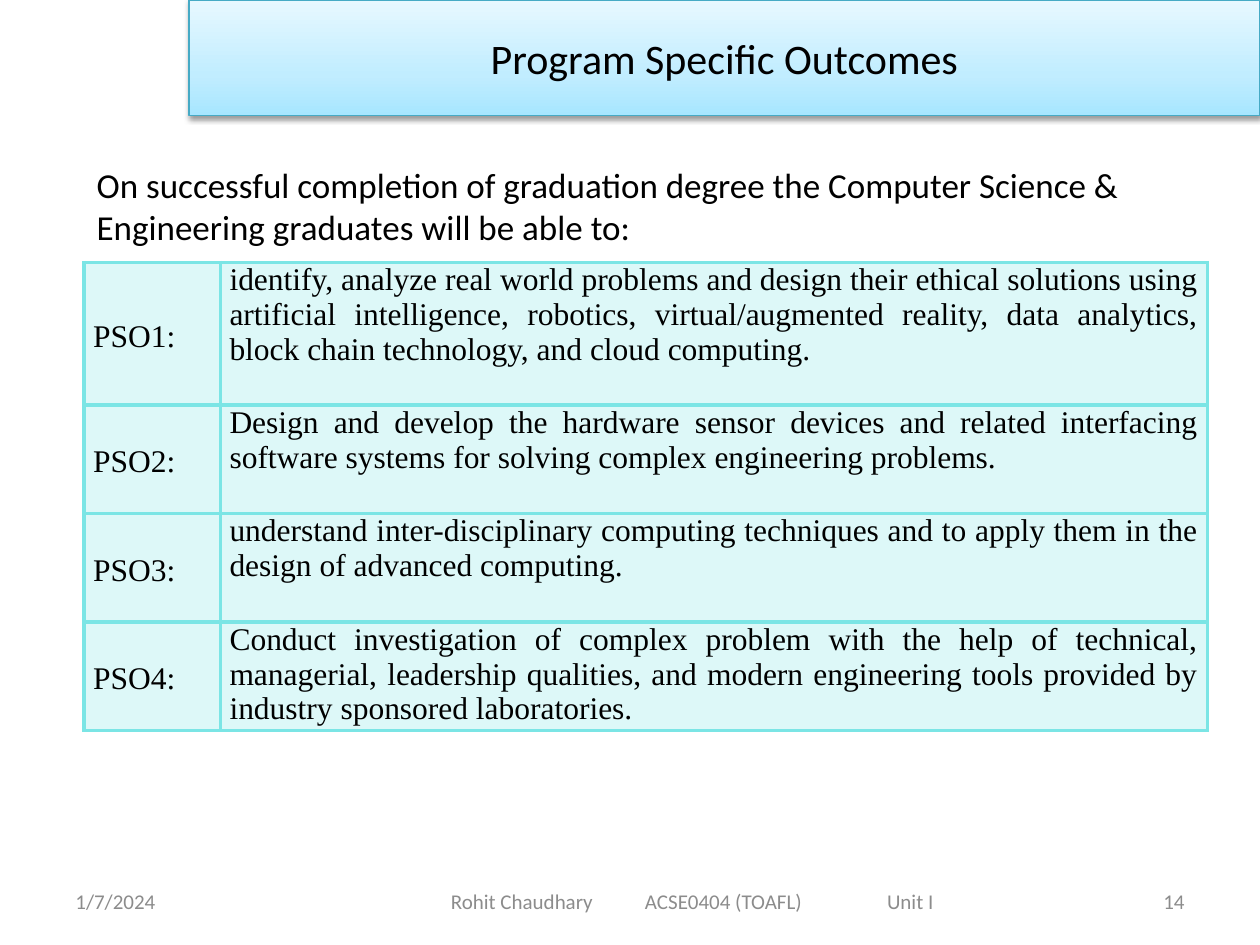
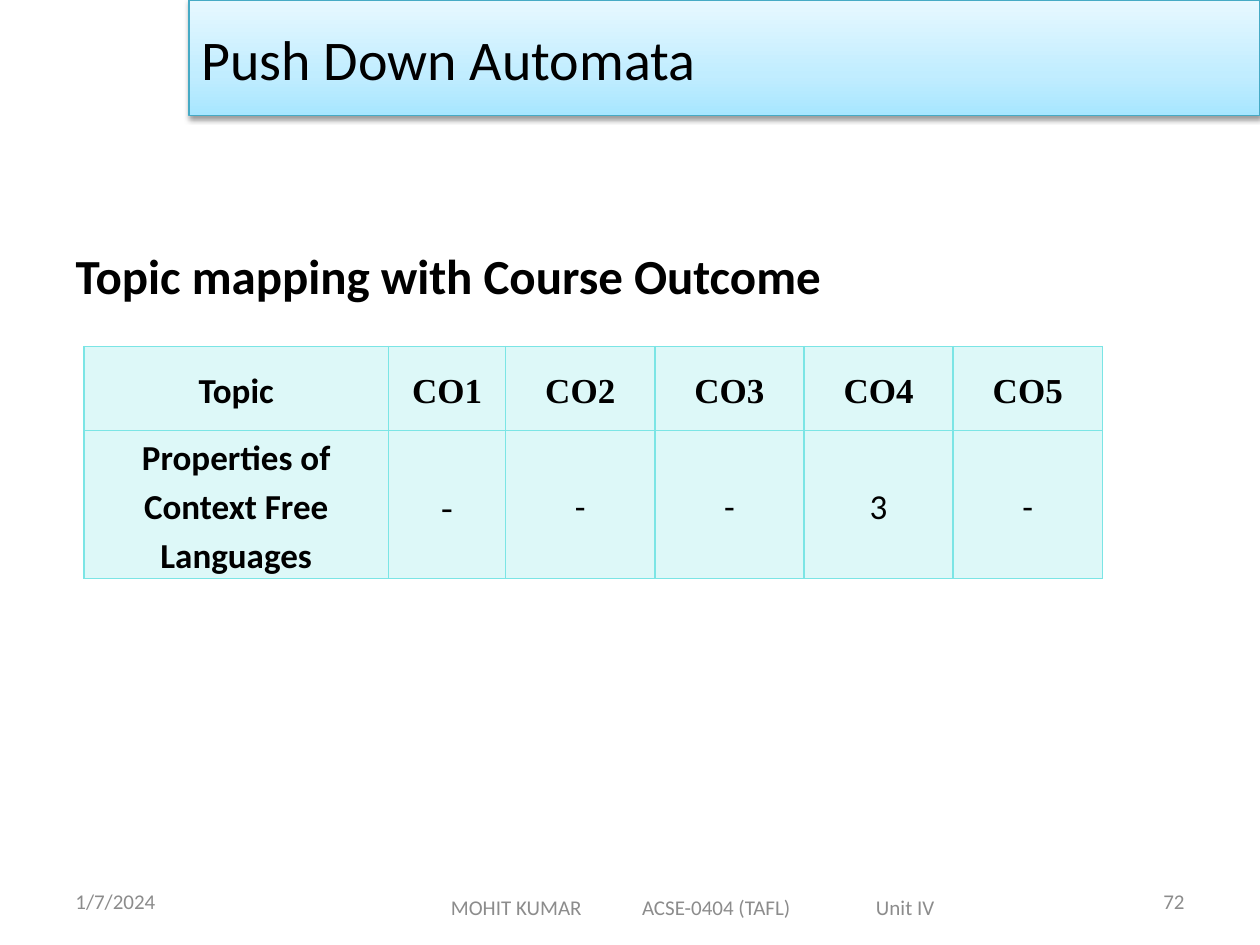
from pptx import Presentation
from pptx.dml.color import RGBColor
from pptx.enum.text import MSO_ANCHOR, MSO_AUTO_SIZE, PP_ALIGN
from pptx.oxml import parse_xml
from pptx.oxml.ns import nsdecls, qn
from pptx.util import Pt

LEFT, CENTER, RIGHT = PP_ALIGN.LEFT, PP_ALIGN.CENTER, PP_ALIGN.RIGHT
JUSTIFY = PP_ALIGN.JUSTIFY
TOP, MIDDLE = MSO_ANCHOR.TOP, MSO_ANCHOR.MIDDLE
NO_FIT = MSO_AUTO_SIZE.NONE

# Shared look
SANS, SERIF = "Calibri", "Times New Roman"
BLACK, GREY, AQUA, BAND_LINE = "000000", "8C8C8C", "7BE5E5", "46AAC5"
BAND_STOPS = [(0, "A7E6FF"), (35, "C1EDFF"), (100, "E7F8FF")]
TITLE_BOX = (108, 0, 612, 66)
DATE_BOX = (36, 500.5, 168, 28.75)
NUMBER_BOX = (516, 500.5, 168, 28.75)
TITLE_AND_BODY = 1


def rgb(value):
    return RGBColor.from_string(value)


def place(sp, box):
    sp.left, sp.top, sp.width, sp.height = (Pt(v) for v in box)


def style(p, size, color=BLACK, font=SANS, bold=False, align=LEFT, spacing=1.0):
    p.alignment = align
    p.line_spacing = spacing
    p.space_before = Pt(0)
    for r in p.runs:
        r.font.size, r.font.name, r.font.bold = Pt(size), font, bold
        r.font.color.rgb = rgb(color)


def add_title(s, box, text, size, align):
    sp = s.shapes.title
    place(sp, box)
    tf = sp.text_frame
    tf.text = text
    tf.auto_size, tf.vertical_anchor = NO_FIT, MIDDLE
    style(tf.paragraphs[0], size, align=align)

    # Gradient band with a soft shadow below
    sp.line.color.rgb = rgb(BAND_LINE)
    sp.line.width = Pt(0.75)
    stops = "".join(f'<a:gs pos="{pos * 1000}"><a:srgbClr val="{color}"/></a:gs>'
                    for pos, color in BAND_STOPS)
    props = sp.fill._xPr
    props.find(qn("a:ln")).addprevious(parse_xml(
        f'<a:gradFill {nsdecls("a")} rotWithShape="1"><a:gsLst>{stops}</a:gsLst>'
        '<a:lin ang="16200000" scaled="0"/></a:gradFill>'))
    props.append(parse_xml(
        f'<a:effectLst {nsdecls("a")}><a:outerShdw blurRad="{Pt(3.1)}" '
        f'dist="{Pt(1.6)}" dir="5400000" rotWithShape="0"><a:srgbClr val="{BLACK}">'
        '<a:alpha val="38000"/></a:srgbClr></a:outerShdw></a:effectLst>'))


def add_body(s, box, text, size, bold=False, top_inset=3.6):
    sp = s.placeholders[1]
    place(sp, box)
    tf = sp.text_frame
    tf.text = text
    tf.auto_size, tf.vertical_anchor = NO_FIT, TOP
    tf.margin_top = Pt(top_inset)
    for p in tf.paragraphs:
        style(p, size, bold=bold, align=JUSTIFY)
        props = p._p.get_or_add_pPr()
        props.set("marL", "0")
        props.set("indent", "0")
        props.append(parse_xml(f'<a:buNone {nsdecls("a")}/>'))


def add_note(s, box, text, align=LEFT):
    tf = s.shapes.add_textbox(*(Pt(v) for v in box)).text_frame
    tf.word_wrap, tf.vertical_anchor = True, MIDDLE
    tf.text = text
    style(tf.paragraphs[0], 12, GREY, align=align)
    return tf


def add_footer(s, top, parts, tabs, number):
    add_note(s, DATE_BOX, "1/7/2024")
    add_note(s, NUMBER_BOX, number, RIGHT)

    # Lecturer, course and unit stand on tab stops
    tf = add_note(s, (198, top, 396, 28.75), "\t".join(parts))
    tf.margin_left = Pt(59.7)
    stops = "".join(f'<a:tab pos="{Pt(tab)}" algn="l"/>' for tab in tabs)
    tf.paragraphs[0]._p.get_or_add_pPr().append(
        parse_xml(f'<a:tabLst {nsdecls("a")}>{stops}</a:tabLst>'))


def paint_cell(cell, border):
    props = cell._tc.get_or_add_tcPr()
    for side in ("lnL", "lnR", "lnT", "lnB"):
        props.append(parse_xml(
            f'<a:{side} {nsdecls("a")} w="{Pt(border)}"><a:solidFill>'
            f'<a:srgbClr val="{AQUA}"/></a:solidFill></a:{side}>'))
    cell.fill.solid()
    cell.fill.fore_color.rgb = rgb(AQUA)
    props.find(qn("a:solidFill"))[0].append(
        parse_xml(f'<a:alpha {nsdecls("a")} val="25000"/>'))


def add_grid(s, left, top, widths, heights, rows, border, cell_style):
    """cell_style(row, column) gives the anchor and the text settings."""
    table = s.shapes.add_table(len(rows), len(widths), Pt(left), Pt(top),
                               Pt(sum(widths)), Pt(sum(heights))).table
    table.first_row = table.horz_banding = False
    for column, width in zip(table.columns, widths):
        column.width = Pt(width)
    for i, (row, height) in enumerate(zip(rows, heights)):
        table.rows[i].height = Pt(height)
        for j, text in enumerate(row):
            cell = table.cell(i, j)
            cell.margin_left = cell.margin_right = Pt(5.2)
            cell.margin_top = cell.margin_bottom = 0
            cell.text = text
            cell.vertical_anchor, settings = cell_style(i, j)
            style(cell.text_frame.paragraphs[0], **settings)
            paint_cell(cell, border)


def outcome_style(row, column):
    label = column == 0
    return (MIDDLE if label else TOP,
            dict(size=18, font=SERIF, align=JUSTIFY, spacing=1.15 if label else 1.0))


def mapping_style(row, column):
    serif = column == 1 or (row == 0 and column > 0)
    return MIDDLE, dict(size=20, font=SERIF if serif else SANS, align=CENTER,
                        bold=row == 0 or column == 0, spacing=1.15)


def build_outcomes(prs):
    s = prs.slides.add_slide(prs.slide_layouts[TITLE_AND_BODY])
    add_title(s, TITLE_BOX, "Program Specific Outcomes", 24, CENTER)
    add_body(s, (48, 90, 642, 55.5),
             "On successful completion of graduation degree the Computer Science &\n"
             "Engineering graduates will be able to:", 20)
    outcomes = [
        "identify, analyze real world problems and design their ethical solutions "
        "using artificial intelligence, robotics, virtual/augmented reality, data "
        "analytics, block chain technology, and cloud computing.",
        "Design and develop the hardware sensor devices and related interfacing "
        "software systems for solving complex engineering problems.",
        "understand inter-disciplinary computing techniques and to apply them in "
        "the design of advanced computing.",
        "Conduct investigation of complex problem with the help of technical, "
        "managerial, leadership qualities, and modern engineering tools provided by "
        "industry sponsored laboratories.",
    ]
    rows = [(f"PSO{n}:", text) for n, text in enumerate(outcomes, 1)]
    add_grid(s, 48, 150, [78, 564], [81.5] + [62] * 3, rows, 2.25, outcome_style)
    add_footer(s, 500.5, ["Rohit Chaudhary", "ACSE0404 (TOAFL)", "Unit I"],
               [110.9, 249.2], "14")


def build_mapping(prs):
    s = prs.slides.add_slide(prs.slide_layouts[TITLE_AND_BODY])
    add_title(s, TITLE_BOX, "Push Down Automata", 32, LEFT)
    add_body(s, (36, 90, 648, 356.5), "Topic mapping with Course Outcome", 28,
             bold=True, top_inset=50.5)
    rows = [["Topic"] + [f"CO{n}" for n in range(1, 6)],
            ["Properties of Context Free Languages", "-", "-", "-", "3", "-"]]
    add_grid(s, 48, 198, [174, 67] + [85.25] * 4, [48, 84.5], rows, 1, mapping_style)
    add_footer(s, 504, ["MOHIT KUMAR", "ACSE-0404 (TAFL)", "Unit IV"],
               [109.2, 242.9], "72")


def main():
    prs = Presentation()
    prs.slide_width, prs.slide_height = Pt(720), Pt(540)
    build_outcomes(prs)
    build_mapping(prs)
    prs.save("out.pptx")


if __name__ == "__main__":
    main()
